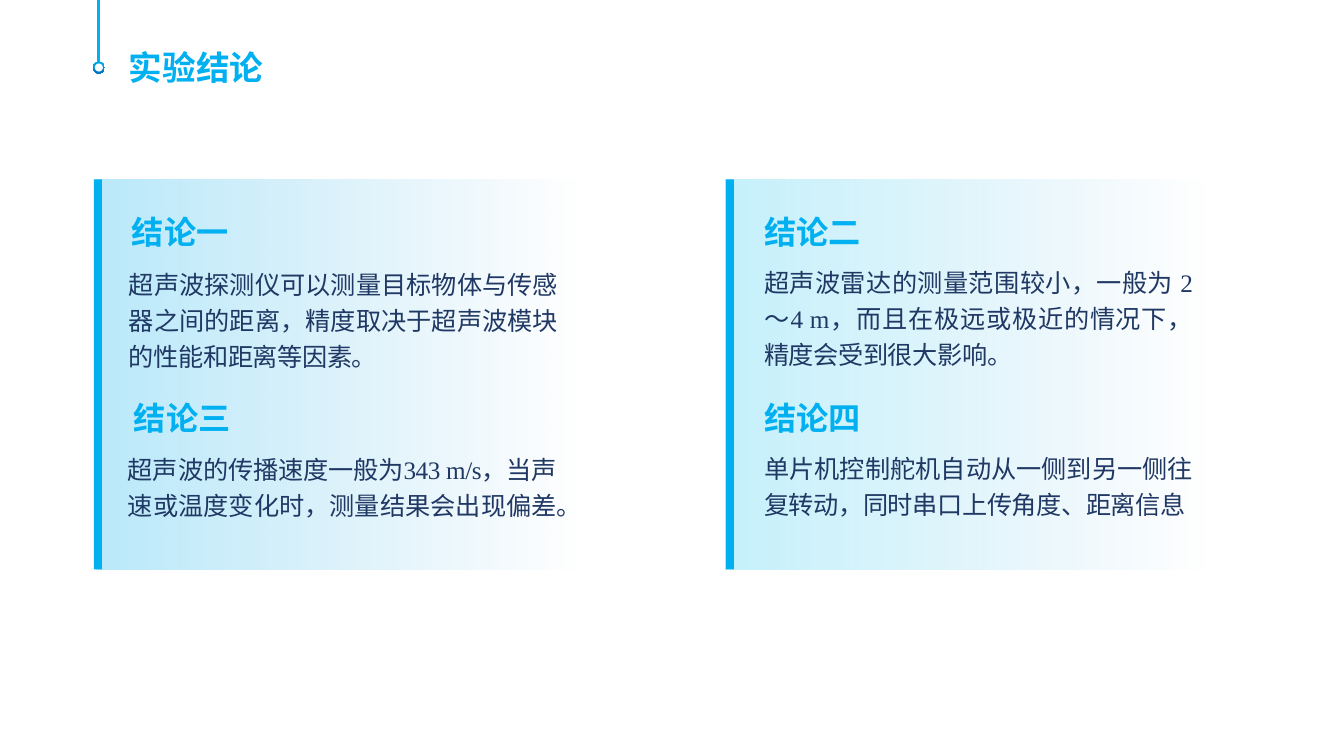
"""Build the slide of four experiment conclusions in two panels."""
from dataclasses import dataclass

from lxml.etree import SubElement
from pptx import Presentation
from pptx.dml.color import RGBColor
from pptx.enum.shapes import MSO_CONNECTOR, MSO_SHAPE
from pptx.enum.text import MSO_AUTO_SIZE, PP_ALIGN
from pptx.oxml.ns import qn
from pptx.util import Inches, Pt

COLORS = {
    "sky": "00B0F0",
    "cyan": "09C5F1",
    "fade": "0498D7",
    "blue": "0070C0",
    "navy": "203864",
    "white": "FFFFFF",
}
HEADING_FONT = "Noto Sans CJK JP"
CHINESE_FONT = "Noto Sans CJK SC"
LATIN_FONT = "Times New Roman"
PANEL_TOP, PANEL_WIDTH, PANEL_HEIGHT, BAR_WIDTH = 1.78, 4.86, 3.87, 0.08


@dataclass(frozen=True)
class Panel:
    left: float
    bar_left: float
    tint: str
    opacity: int


@dataclass(frozen=True)
class Conclusion:
    heading: str
    heading_at: tuple[float, float]
    body_at: tuple[float, float]
    body: tuple[tuple[str, str], ...]


PANELS = [Panel(0.96, 0.93, "sky", 28), Panel(7.2, 7.2, "cyan", 24)]
CONCLUSIONS = [
    Conclusion("结论一", (1.21, 2.06), (1.18, 2.56), (
        ("超声波探测仪可以测量目标物体与传感器之间的距离，精度取决于超声波模块的性能和距离等因素。", CHINESE_FONT),
    )),
    Conclusion("结论二", (7.48, 2.06), (7.48, 2.54), (
        ("超声波雷达的测量范围较小，一般为 ", CHINESE_FONT),
        ("2～4 m", LATIN_FONT),
        ("，而且在极远或极近的情况下，精度会受到很大影响。", CHINESE_FONT),
    )),
    Conclusion("结论三", (1.23, 3.9), (1.17, 4.4), (
        ("超声波的传播速度一般为", CHINESE_FONT),
        ("343 m/s", LATIN_FONT),
        ("，当声速或温度变化时，测量结果会出现偏差。", CHINESE_FONT),
    )),
    Conclusion("结论四", (7.48, 3.9), (7.48, 4.39), (
        ("单片机", CHINESE_FONT),
        ("控制舵机自动从一侧到另一侧往复转动，同时串口上传角度、距离信息", CHINESE_FONT),
    )),
]


def rgb(name: str) -> RGBColor:
    return RGBColor.from_string(COLORS[name])


def add_plain(slide, kind, left: float, top: float, width: float, height: float, color: str):
    shape = slide.shapes.add_shape(kind, Inches(left), Inches(top), Inches(width), Inches(height))
    shape.shadow.inherit = False
    shape.line.fill.background()
    shape.fill.solid()
    shape.fill.fore_color.rgb = rgb(color)
    return shape


def set_gradient(shape, colors: tuple[str, str], angle: int, opacities: tuple[int, int] = (100, 100)) -> None:
    shape.fill.gradient()
    shape.fill.gradient_angle = angle
    for stop, position, color in zip(shape.fill.gradient_stops, (0, 1), colors):
        stop.position = position
        stop.color.rgb = rgb(color)
    for tone, opacity in zip(shape.fill._xPr.iter(qn("a:srgbClr")), opacities):
        if opacity < 100:
            SubElement(tone, qn("a:alpha")).set("val", str(opacity * 1000))


def style_run(run, size: int, font: str, east_asian: str, color: str, bold: bool = False) -> None:
    run.font.size = Pt(size)
    run.font.bold = bold
    run.font.color.rgb = rgb(color)
    run.font.name = font
    SubElement(run.font._element, qn("a:ea")).set("typeface", east_asian)


def add_heading(slide, text: str, at: tuple[float, float], size: int, font: str,
                width: float, height: float, spacing: float = 1.0) -> None:
    heading = slide.shapes.add_textbox(*map(Inches, (*at, width, height)))
    heading.text_frame.text = text
    heading.text_frame.word_wrap = False
    heading.text_frame.auto_size = MSO_AUTO_SIZE.SHAPE_TO_FIT_TEXT
    paragraph = heading.text_frame.paragraphs[0]
    paragraph.line_spacing = spacing
    style_run(paragraph.runs[0], size, font, font, "sky", True)


def add_body(slide, conclusion: Conclusion) -> None:
    body = slide.shapes.add_textbox(*map(Inches, (*conclusion.body_at, 4.45, 1.19)))
    body.text_frame.word_wrap = True
    paragraph = body.text_frame.paragraphs[0]
    paragraph.alignment = PP_ALIGN.JUSTIFY
    paragraph.line_spacing = 1.2
    for text, font in conclusion.body:
        run = paragraph.add_run()
        run.text = text
        style_run(run, 18, font, CHINESE_FONT, "navy")
        run.font._element.set("spc", "-30")


def add_title(slide) -> None:
    add_heading(slide, "实验结论", (1.18, 0.34), 24, CHINESE_FONT, 1.53, 0.58, 1.2)
    stem = slide.shapes.add_connector(
        MSO_CONNECTOR.STRAIGHT, Inches(0.98), Inches(0), Inches(0.98), Inches(0.65))
    stem.line.color.rgb = rgb("sky")
    stem.line.width = Pt(2.25)
    SubElement(stem._element.spPr, qn("a:effectLst"))
    ring = add_plain(slide, MSO_SHAPE.OVAL, 0.92, 0.61, 0.12, 0.12, "sky")
    set_gradient(ring, ("sky", "blue"), 270)
    add_plain(slide, MSO_SHAPE.OVAL, 0.94, 0.63, 0.08, 0.08, "white")


def main() -> None:
    deck = Presentation()
    deck.slide_width, deck.slide_height = Inches(13.33), Inches(7.5)
    slide = deck.slides.add_slide(deck.slide_layouts[6])
    for panel in PANELS:
        backdrop = add_plain(slide, MSO_SHAPE.RECTANGLE, panel.left, PANEL_TOP,
                             PANEL_WIDTH, PANEL_HEIGHT, panel.tint)
        set_gradient(backdrop, (panel.tint, "fade"), 0, (panel.opacity, 0))
        add_plain(slide, MSO_SHAPE.RECTANGLE, panel.bar_left, PANEL_TOP,
                  BAR_WIDTH, PANEL_HEIGHT, "sky")
    add_title(slide)
    for conclusion in CONCLUSIONS:
        add_heading(slide, conclusion.heading, conclusion.heading_at, 23, HEADING_FONT, 1.16, 0.49)
        add_body(slide, conclusion)
    deck.save("out.pptx")


if __name__ == "__main__":
    main()
